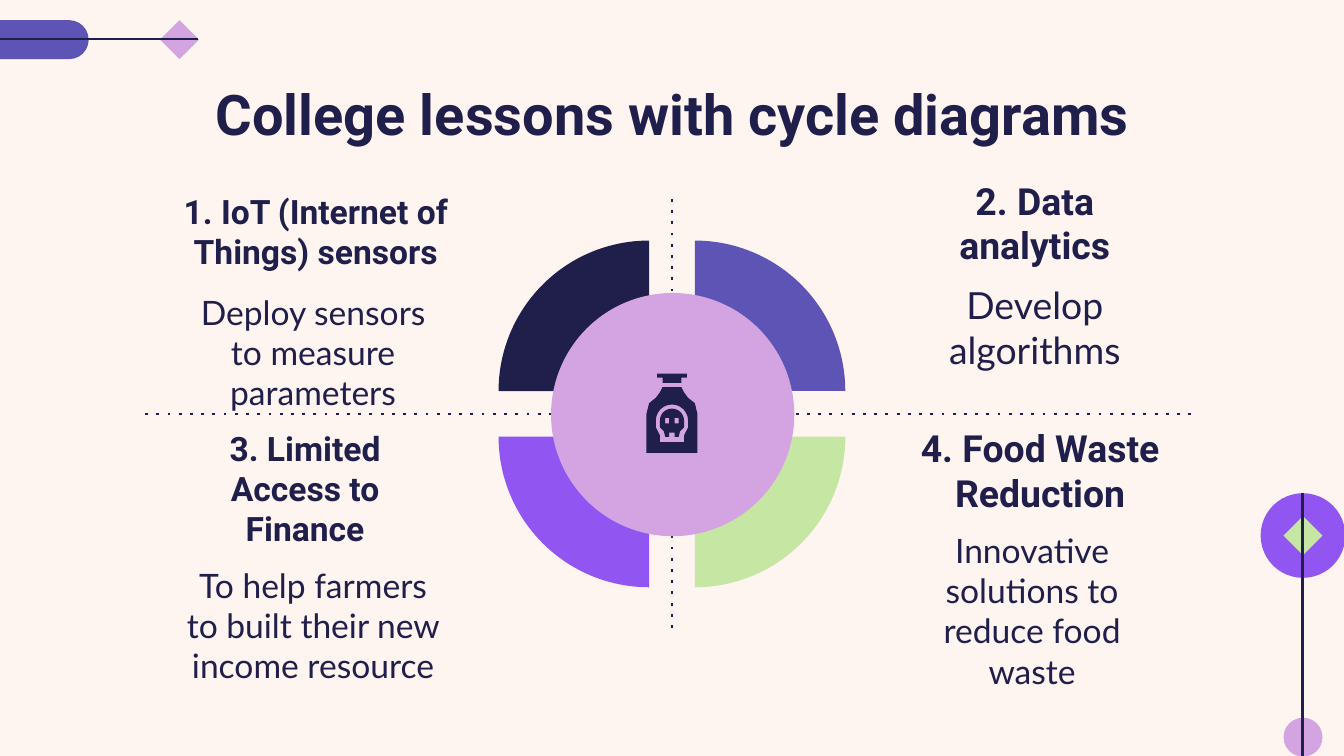
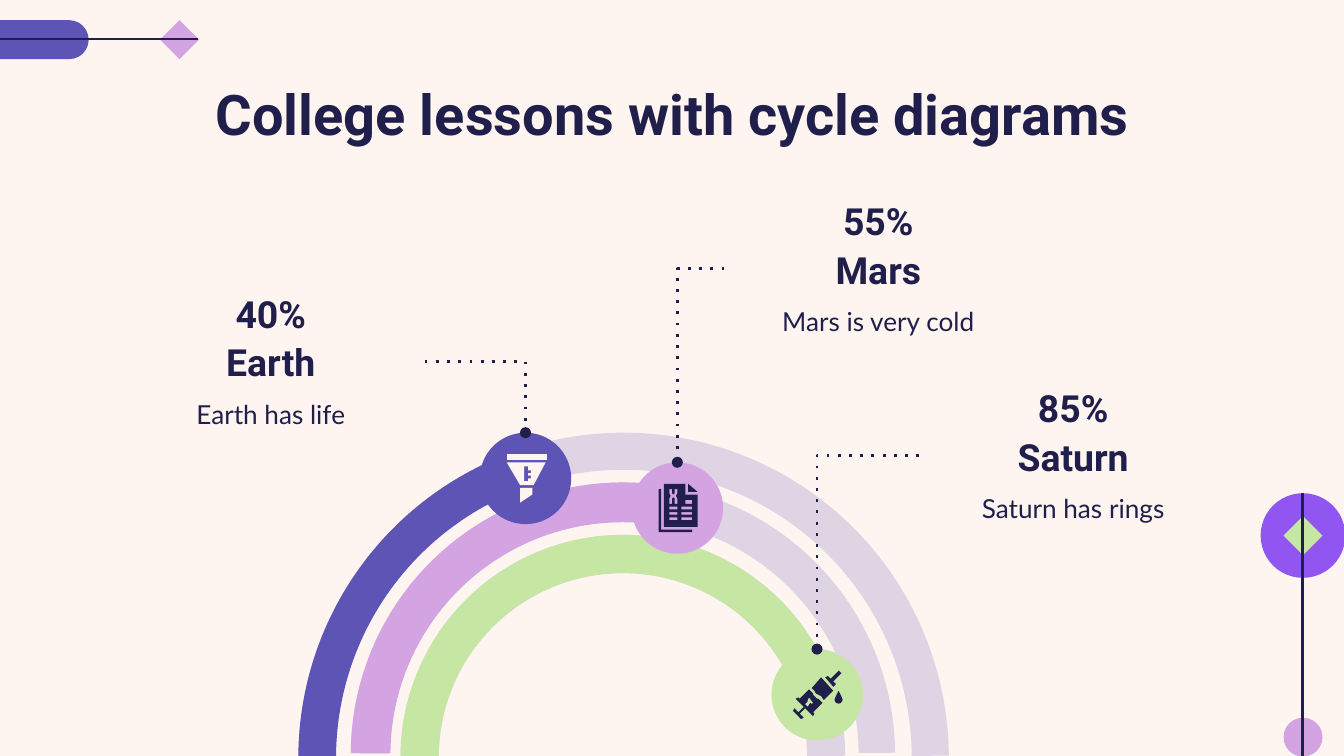
import math
from dataclasses import dataclass

import pptx
import pptx.dml.color
import pptx.enum.dml
import pptx.enum.shapes
import pptx.enum.text
import pptx.oxml.ns
import pptx.util
from lxml import etree

Inches = pptx.util.Inches
Pt = pptx.util.Pt
SHAPE = pptx.enum.shapes.MSO_SHAPE
CONNECTOR = pptx.enum.shapes.MSO_CONNECTOR
ANCHOR = pptx.enum.text.MSO_ANCHOR
qn = pptx.oxml.ns.qn


@dataclass(frozen=True)
class Theme:
    cream: str = "FEF5F0"
    navy: str = "201F4B"
    indigo: str = "5E54B5"
    violet: str = "9156F1"
    pink: str = "D4A4E2"
    green: str = "C6E6A3"
    heading_font: str = "Roboto"
    body_font: str = "Lato"
    title_size: int = 30
    large: int = 20
    medium: int = 18
    small: int = 14
    line_width: float = 1.5


THEME = Theme()
TITLE = "College lessons with cycle diagrams"


# Drawing helpers

def rgb(color):
    return pptx.dml.color.RGBColor.from_string(color)


def paint(shape, color, alpha=None):
    shape.shadow.inherit = False
    shape.fill.solid()
    shape.fill.fore_color.rgb = rgb(color)
    shape.line.fill.background()
    if alpha is not None:
        tint = shape.element.spPr.find(qn("a:solidFill"))[0]
        etree.SubElement(tint, qn("a:alpha")).set("val", str(alpha * 1000))
    return shape


def add_preset(slide, preset, box, color, alpha=None, adjust=()):
    shape = slide.shapes.add_shape(preset, *map(Inches, box))
    for index, value in enumerate(adjust):
        shape.adjustments[index] = value
    return paint(shape, color, alpha)


def angles(start, end):
    """Degrees as adjustment values."""
    return start * 0.6, end * 0.6


def add_line(slide, start, end, dotted=False, bent=False):
    kind = CONNECTOR.ELBOW if bent else CONNECTOR.STRAIGHT
    line = slide.shapes.add_connector(kind, *map(Inches, (*start, *end)))
    line.line.color.rgb = rgb(THEME.navy)
    line.line.width = Pt(THEME.line_width)
    properties = line.element.spPr
    stroke = properties.find(qn("a:ln"))
    if dotted:
        etree.SubElement(stroke, qn("a:prstDash")).set("val", "dot")
    if bent:
        # One corner: across first, then down to a round end
        properties.find(qn("a:prstGeom")).set("prst", "bentConnector2")
        etree.SubElement(stroke, qn("a:tailEnd")).set("type", "oval")
    etree.SubElement(properties, qn("a:effectLst"))


def add_text(slide, box, text, size, bold=False, anchor=ANCHOR.TOP,
             margin=0.1, spacing=None):
    frame = slide.shapes.add_textbox(*map(Inches, box)).text_frame
    frame.word_wrap = True
    frame.vertical_anchor = anchor
    frame.margin_left = frame.margin_right = Inches(0.1)
    frame.margin_top = frame.margin_bottom = Inches(margin)
    paragraph = frame.paragraphs[0]
    paragraph.text = text
    paragraph.alignment = pptx.enum.text.PP_ALIGN.CENTER
    if spacing:
        paragraph.line_spacing = spacing
    font = paragraph.font
    font.name = THEME.heading_font if bold else THEME.body_font
    font.size = Pt(size)
    font.bold = bold
    font.color.rgb = rgb(THEME.navy)


# Icons: parts are lists of contours, in hundredths of an inch

def rect(left, top, width, height):
    right, bottom = left + width, top + height
    return [(left, top), (right, top), (right, bottom), (left, bottom)]


def arc(x, y, radius, start, end, steps=12):
    turns = [math.radians(start + (end - start) * i / steps) for i in range(steps + 1)]
    return [(x + radius * math.cos(t), y + radius * math.sin(t)) for t in turns]


BOTTLE = [
    # cap
    [[(12, 7), (26, 7), (26, 3), (30, 3), (30, 0), (8, 0), (8, 3), (12, 3)]],
    # skull
    [arc(19, 35, 9, 180, 360)
     + [(28, 40), (27, 41), (25, 43), (24, 47), (21, 47), (21, 44),
        (17, 44), (17, 47), (14, 47), (13, 43), (11, 41), (10, 40)],
     rect(14, 33, 3, 4), rect(21, 33, 3, 4)],
    # body
    [[(31, 18), (28, 14), (26, 10), (12, 10), (10, 14), (7, 18), (2, 22),
      (0, 30), (0, 59), (38, 59), (38, 30), (36, 22)],
     arc(19, 35, 12, 180, 360)
     + [(31, 40), (29, 44), (28, 46), (28, 51), (10, 51), (10, 46), (9, 44), (7, 40)]],
]
FUNNEL = [
    # bowl
    [[(0, 6), (29, 6), (20, 23), (10, 23)],
     [(18, 16), (18, 18), (16, 18), (16, 20), (13, 20), (13, 9), (16, 9),
      (16, 12), (18, 12), (18, 14), (16, 14), (16, 16)]],
    # rim and spout
    [rect(0, 0, 30, 4)],
    [[(10, 25), (10, 36), (19, 30), (19, 25)]],
]
REPORT = [
    # back sheet and folded corner
    [[(2, 4), (0, 4), (0, 36), (25, 36), (25, 34), (2, 34)]],
    [[(22, 0), (22, 6), (29, 6)]],
    # front sheet
    [[(20, 8), (20, 0), (4, 0), (4, 32), (29, 32), (29, 8)],
     [(8, 4), (10, 4), (10, 7), (11, 8), (12, 7), (12, 4), (14, 4), (14, 7),
      (13, 9), (14, 11), (14, 15), (12, 15), (12, 11), (11, 10), (10, 11),
      (10, 15), (8, 15), (8, 11), (9, 9), (8, 7)],
     rect(20, 12, 5, 3),
     *(rect(left, top, width, 2) for left, width in ((8, 6), (17, 8))
       for top in (17, 21, 25))],
]
SYRINGE = [
    # plunger and needle
    [[(4, 31), (1, 28), (0, 30), (6, 36), (8, 35), (5, 32), (9, 28), (8, 27)]],
    [[(30, 8), (36, 2), (34, 0), (28, 6), (26, 4), (24, 5), (30, 12), (32, 10)]],
    # liquid
    [[(14, 13), (16, 15), (17, 17), (19, 18), (21, 19), (23, 22), (30, 15), (21, 5)]],
    # barrel
    [[(19, 21), (18, 21), (15, 18), (15, 17), (12, 14), (5, 21), (4, 20),
      (2, 21), (4, 23), (9, 28), (15, 34), (16, 32), (15, 31), (22, 24)],
     [(14, 25), (13, 24), (11, 27), (9, 25), (11, 23), (11, 22), (12, 20), (15, 24)]],
    # drop
    [[(34, 15), (36, 19)] + arc(34, 21.5, 3, 0, 180) + [(32, 19)]],
]


def add_icon(slide, left, top, parts, color):
    for contours in parts:
        outline = None
        for contour in contours:
            first, *rest = [(x * 10, y * 10) for x, y in contour]
            if outline is None:
                outline = slide.shapes.build_freeform(*first, scale=Inches(1) / 1000)
            else:
                outline.move_to(*first)
            outline.add_line_segments(rest, close=True)
        paint(outline.convert_to_shape(Inches(left), Inches(top)), color)


# Shared frame

def add_side_ornament(slide, left, top):
    add_preset(slide, SHAPE.OVAL, (left, top, 0.63, 0.63), THEME.violet)
    add_preset(slide, SHAPE.DIAMOND, (left + 0.17, top + 0.17, 0.29, 0.29), THEME.green)
    add_preset(slide, SHAPE.OVAL, (left + 0.17, top + 1.67, 0.29, 0.29), THEME.pink)
    add_line(slide, (left + 0.31, top), (left + 0.31, top + 1.96))


def add_top_ornament(slide, left, top):
    add_preset(slide, SHAPE.ROUNDED_RECTANGLE, (left, top, 1.35, 0.29),
               THEME.indigo, adjust=[0.5])
    add_preset(slide, SHAPE.DIAMOND, (left + 1.88, top, 0.29, 0.29), THEME.pink)
    add_line(slide, (left + 0.21, top + 0.14), (left + 2.16, top + 0.14))


def add_titled_slide(prs):
    slide = prs.slides.add_slide(prs.slide_layouts[6])
    add_side_ornament(slide, 9.38, 3.67)
    add_top_ornament(slide, -0.69, 0.15)
    add_text(slide, (0.79, 0.49, 8.43, 0.63), TITLE, THEME.title_size, bold=True)
    return slide


# Slide 1: four-part cycle

def add_cycle(slide, x, y):
    size, gap = 2.24, 0.17
    quadrants = [(-1, -1, 180, THEME.navy), (1, -1, 270, THEME.indigo),
                 (-1, 1, 90, THEME.violet), (1, 1, 0, THEME.green)]
    for across, down, start, color in quadrants:
        box = (x + across * gap - size / 2, y + down * gap - size / 2, size, size)
        add_preset(slide, SHAPE.PIE, box, color,
                   adjust=angles(start, min(start + 90, 359.9)))
    add_line(slide, (x - 3.92, y), (x + 3.92, y), dotted=True)
    add_line(slide, (x, y - 1.6), (x, y + 1.59), dotted=True)
    add_preset(slide, SHAPE.OVAL, (x - 0.9, y - 0.9, 1.81, 1.81), THEME.pink)
    add_icon(slide, x - 0.19, y - 0.3, BOTTLE, THEME.navy)


def build_cycle_slide(prs):
    slide = add_titled_slide(prs)
    add_cycle(slide, 5, 3.08)
    # heading, its box and size, then body, its place and size
    topics = [
        ("1. IoT (Internet of Things) sensors", (1.23, 1.08, 2.24, 1.04), THEME.medium,
         "Deploy sensors to measure parameters", (1.25, 2.07), THEME.medium),
        ("2. Data analytics", (6.62, 1.48, 2.16, 0.61), THEME.large,
         "Develop algorithms", (6.62, 2), THEME.large),
        ("3. Limited Access to Finance", (1.18, 3.79, 2.18, 0.39), THEME.medium,
         "To help farmers to built their new income resource", (1.25, 4.1), THEME.medium),
        ("4. Food Waste Reduction", (6.66, 3.32, 2.16, 0.61), THEME.large,
         "Innovative solutions to reduce food waste", (6.6, 3.84), THEME.medium),
    ]
    for heading, heading_box, heading_size, body, corner, body_size in topics:
        add_text(slide, (*corner, 2.16, 0.67), body, body_size)
        add_text(slide, heading_box, heading, heading_size, bold=True, anchor=ANCHOR.BOTTOM)


# Slide 2: concentric arcs with callouts

def add_arcs(slide, rings):
    for box, color, end, track_depth, depth in rings:
        add_preset(slide, SHAPE.BLOCK_ARC, box, THEME.indigo, alpha=20,
                   adjust=(*angles(180.3, 359.6), track_depth))
    for box, color, end, track_depth, depth in rings:
        add_preset(slide, SHAPE.BLOCK_ARC, box, color,
                   adjust=(*angles(180.3, end), depth))


def add_callout(slide, label, disc, percent, planet, note, color, icon, icon_color, icon_left):
    left, top = label
    width, height, step, disc_size = 2.29, 0.44, 0.36, 0.68
    for row, text in enumerate((percent, planet)):
        add_text(slide, (left, top + row * step, width, height), text, THEME.large,
                 bold=True, anchor=ANCHOR.BOTTOM, margin=0.05, spacing=1.15)
    add_text(slide, (left, top + 2 * step, width, height), note, THEME.small, spacing=1.15)
    # Disc, leader line and icon
    disc_left, disc_top = disc
    add_preset(slide, SHAPE.OVAL, (*disc, disc_size, disc_size), color)
    edge = left + width if disc_left > left + width else left
    add_line(slide, (edge, top + 0.58), (disc_left + disc_size / 2, disc_top),
             dotted=True, bent=True)
    add_icon(slide, disc_left + icon_left, disc_top + 0.16, icon, icon_color)


def build_arcs_slide(prs):
    slide = add_titled_slide(prs)
    add_arcs(slide, [
        ((2.22, 3.22, 4.84, 4.84), THEME.indigo, 247.6, 0.057, 0.058),
        ((2.61, 3.59, 4.05, 4.05), THEME.pink, 280.4, 0.067, 0.073),
        ((2.98, 3.98, 3.31, 3.31), THEME.green, 344.1, 0.086, 0.086),
    ])
    add_callout(slide, (0.87, 2.11), (3.57, 3.22), "40%", "Earth", "Earth has life",
                THEME.indigo, FUNNEL, THEME.cream, 0.2)
    add_callout(slide, (5.39, 1.42), (4.7, 3.44), "55%", "Mars", "Mars is very cold",
                THEME.pink, REPORT, THEME.navy, 0.2)
    add_callout(slide, (6.84, 2.81), (5.74, 4.83), "85%", "Saturn", "Saturn has rings",
                THEME.green, SYRINGE, THEME.navy, 0.16)


def main():
    prs = pptx.Presentation()
    prs.slide_width, prs.slide_height = Inches(10), Inches(5.625)
    backdrop = prs.slide_master.background.fill
    backdrop.solid()
    backdrop.fore_color.rgb = rgb(THEME.cream)
    build_cycle_slide(prs)
    build_arcs_slide(prs)
    prs.save("out.pptx")


if __name__ == "__main__":
    main()
